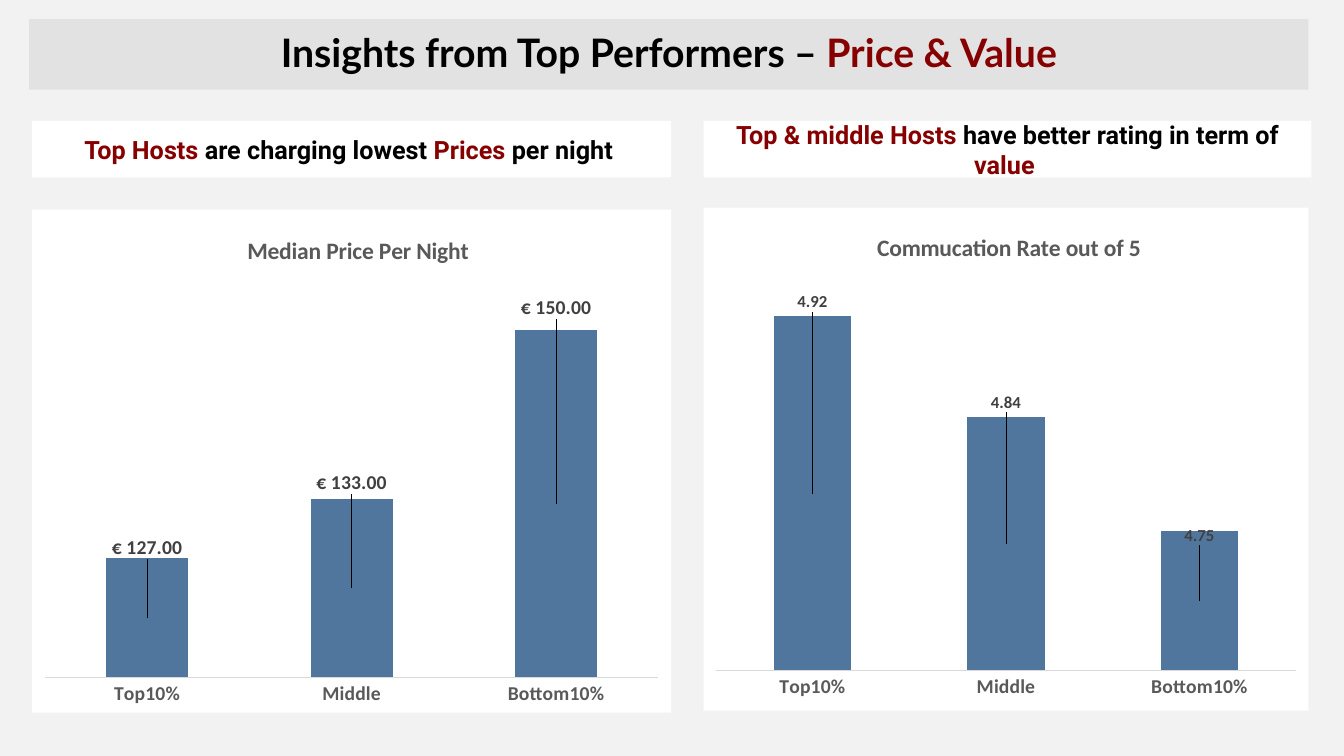
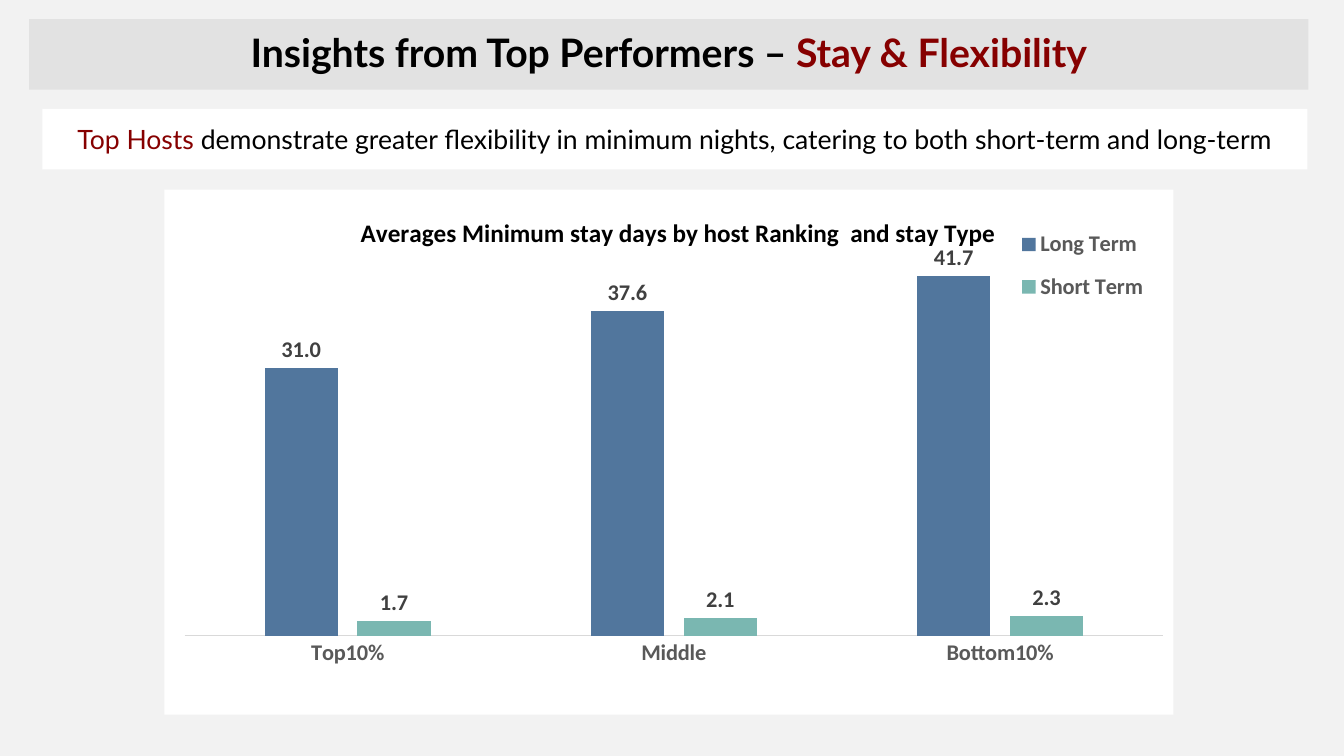
from lxml.etree import SubElement, fromstring
from pptx import Presentation
from pptx.chart.data import CategoryChartData
from pptx.dml.color import RGBColor
from pptx.enum.chart import XL_CHART_TYPE, XL_LABEL_POSITION, XL_LEGEND_POSITION, XL_TICK_MARK
from pptx.enum.shapes import MSO_SHAPE
from pptx.enum.text import MSO_ANCHOR, PP_ALIGN
from pptx.oxml import parse_xml
from pptx.oxml.ns import nsdecls, qn
from pptx.util import Pt

BLACK = RGBColor(0x00, 0x00, 0x00)
WHITE = RGBColor(0xFF, 0xFF, 0xFF)
PAPER = RGBColor(0xF2, 0xF2, 0xF2)
BAND = RGBColor(0xE2, 0xE2, 0xE2)
RED = RGBColor(0x86, 0x00, 0x00)
BLUE = RGBColor(0x51, 0x76, 0x9D)
TEAL = RGBColor(0x7A, 0xB7, 0xB1)
GREY = RGBColor(0x59, 0x59, 0x59)
DARK = RGBColor(0x40, 0x40, 0x40)
RULE = RGBColor(0xD9, 0xD9, 0xD9)

RANKS = ("Top10%", "Middle", "Bottom10%")
EURO = "[$€-2] #,##0.00"


def style(font, size, color=None, bold=True, name="Calibri"):
    """Set the look of a font."""
    font.size, font.bold, font.name = Pt(size), bold, name
    if color is not None:
        font.color.rgb = color


def band(slide, box, runs, size, name, fill=WHITE, bold=True):
    """Draw a filled bar with centred text in several colours."""
    shape = slide.shapes.add_shape(MSO_SHAPE.RECTANGLE, *map(Pt, box))
    shape.shadow.inherit = False
    shape.fill.solid()
    shape.fill.fore_color.rgb = fill
    shape.line.fill.background()
    frame = shape.text_frame
    frame.word_wrap = True
    frame.vertical_anchor = MSO_ANCHOR.MIDDLE
    para = frame.paragraphs[0]
    para.alignment = PP_ALIGN.CENTER
    style(para.font, size, None, bold, name)
    for text, color in runs:
        run = para.add_run()
        run.text = text
        run.font.color.rgb = color
    return para


def place(node, spot, edge=True, inner=False, **parts):
    """Give a chart part a manual layout in fractions of the chart."""
    for old in node.findall(qn("c:layout")):
        node.remove(old)
    layout = parse_xml(f"<c:layout {nsdecls('c')}><c:manualLayout/></c:layout>")
    modes = {"layoutTarget": "inner"} if inner else {}
    if edge:
        modes.update(xMode="edge", yMode="edge")
    for key, val in {**modes, **parts}.items():
        SubElement(layout[0], qn(f"c:{key}")).set("val", str(val))
    node.insert(spot, layout)


def paint(root):
    """Fill the chart area white, without a border."""
    root.find(qn("c:chart")).addnext(fromstring(
        f"<c:spPr {nsdecls('c', 'a')}><a:solidFill><a:srgbClr val='{WHITE}'/>"
        "</a:solidFill><a:ln><a:noFill/></a:ln></c:spPr>"))


def graph(slide, box, kind, series, title, head, plot, span, gap, lap, size, form, tick):
    """Draw a column chart with a title, labels and no value axis."""
    data = CategoryChartData(number_format=form)
    data.categories = RANKS
    for name, vals, _ in series:
        data.add_series(name, vals)
    chart = slide.shapes.add_chart(kind, *map(Pt, box), data).chart
    style(chart.font, 10, BLACK, False)
    paint(chart.element)
    chart.has_legend = False

    text, points, color, left, top = head
    chart.has_title = True
    para = chart.chart_title.text_frame.paragraphs[0]
    para.text = title
    style(para.font, points, color)
    chart.chart_title.include_in_layout = False
    place(chart.element.find(".//" + qn("c:title")), 1, x=left, y=top)
    place(chart.element.find(".//" + qn("c:plotArea")), 0, inner=True,
          **dict(zip("xywh", plot)))

    base = chart.category_axis
    base.major_tick_mark = XL_TICK_MARK.NONE
    base.format.line.color.rgb = RULE
    base.format.line.width = Pt(0.75)
    style(base.tick_labels.font, tick, GREY)
    scale = chart.value_axis
    scale.minimum_scale, scale.maximum_scale = span
    scale.has_major_gridlines = False
    scale.visible = False

    bars = chart.plots[0]
    bars.gap_width, bars.overlap, bars.vary_by_categories = gap, lap, False
    for item, (_, _, color) in zip(bars.series, series):
        item.format.fill.solid()
        item.format.fill.fore_color.rgb = color
        labels = item.data_labels
        labels.show_value = True
        labels.number_format, labels.number_format_is_linked = form, False
        style(labels.font, size, DARK)
    return chart


def lift(chart, shifts, size, form):
    """Raise each label of a stacked column by a share of the chart height."""
    series = chart.plots[0].series[0]
    for spot, shift in enumerate(shifts):
        label = series.points[spot].data_label
        label.position = XL_LABEL_POSITION.CENTER
        style(label.font, size, DARK)
    for node, shift in zip(chart.element.iter(qn("c:dLbl")), shifts):
        place(node, 1, edge=False, x=0, y=-shift)
        node.insert(2, parse_xml(
            f'<c:numFmt {nsdecls("c")} formatCode="{form}" sourceLinked="0"/>'))


def column(slide, box, runs, title, vals, head, plot, span, size, form, shifts, drop, trim=0):
    """Place a heading and its stacked chart in one half of a slide."""
    left, top, width, height = box
    band(slide, (left, top, width, 40.3), runs, 18, "Roboto")
    area = (left, top + drop, width - trim, height - drop)
    chart = graph(slide, area, XL_CHART_TYPE.COLUMN_STACKED,
                  [("Series 1", vals, BLUE)], title, (title, 16.8, GREY, *head),
                  plot, span, 150, 100, size, form, 14)
    lift(chart, shifts, size, form)


def base(deck, topic):
    """Add a slide with the shared background and title band."""
    slide = deck.slides.add_slide(deck.slide_layouts[6])
    slide.background.fill.solid()
    slide.background.fill.fore_color.rgb = PAPER
    runs = [("Insights from Top Performers – ", BLACK), (topic, RED)]
    para = band(slide, (20.9, 13.7, 913.7, 50.4), runs, 28, "Lato", BAND)
    para.line_spacing = 0.9
    return slide


def price(deck):
    """Build the slide on price and value."""
    slide = base(deck, "Price & Value")
    column(slide, (23, 86.4, 456.5, 422.7),
           [("Top Hosts ", RED), ("are charging lowest ", BLACK),
            ("Prices", RED), (" per night ", BLACK)],
           "Median Price Per Night", (127, 133, 150), (0.33, 0.04),
           (0.02, 0.14, 0.96, 0.79), (115, 155), 14, EURO, (0.14, 0.21, 0.39), 63.4)
    column(slide, (502.6, 86.4, 434.2, 421.2),
           [("Top & middle Hosts ", RED), ("have better rating in term of ", BLACK),
            ("value ", RED)],
           "Commucation Rate out of 5", (4.92, 4.84, 4.75), (0.28, 0.04),
           (0.02, 0.14, 0.96, 0.78), (4.64, 4.95), 12, "0.00", (0.38, 0.28, 0.13), 61.9, 2.2)


def stay(deck):
    """Build the slide on stay and flexibility."""
    slide = base(deck, "Stay & Flexibility")
    band(slide, (30.2, 77.8, 903.6, 43.2),
         [("Top Hosts ", RED),
          ("demonstrate greater flexibility in minimum nights, "
           "catering to both short-term and long-term", BLACK)],
         19, "Lato", bold=False)
    title = "Averages Minimum stay days by host Ranking  and stay Type"
    chart = graph(slide, (117.4, 135.4, 720.7, 375.1), XL_CHART_TYPE.COLUMN_CLUSTERED,
                  [("Long Term", (31, 37.6, 41.7), BLUE),
                   ("Short Term", (1.7, 2.1, 2.3), TEAL)],
                  title, (title, 18, BLACK, 0.19, 0.04), (0.02, 0.11, 0.97, 0.74),
                  (0, 45), 219, -27, 16, "0.0", 16)
    for series in chart.plots[0].series:
        series.data_labels.position = XL_LABEL_POSITION.OUTSIDE_END
    chart.has_legend = True
    chart.legend.position = XL_LEGEND_POSITION.BOTTOM
    chart.legend.include_in_layout = False
    style(chart.legend.font, 16, GREY)
    place(chart.element.find(".//" + qn("c:legend")), 1, x=0.84, y=0.05, w=0.14, h=0.19)


def main():
    """Build and save the deck."""
    deck = Presentation()
    deck.slide_width, deck.slide_height = Pt(960), Pt(540)
    price(deck)
    stay(deck)
    deck.save("out.pptx")


if __name__ == "__main__":
    main()
